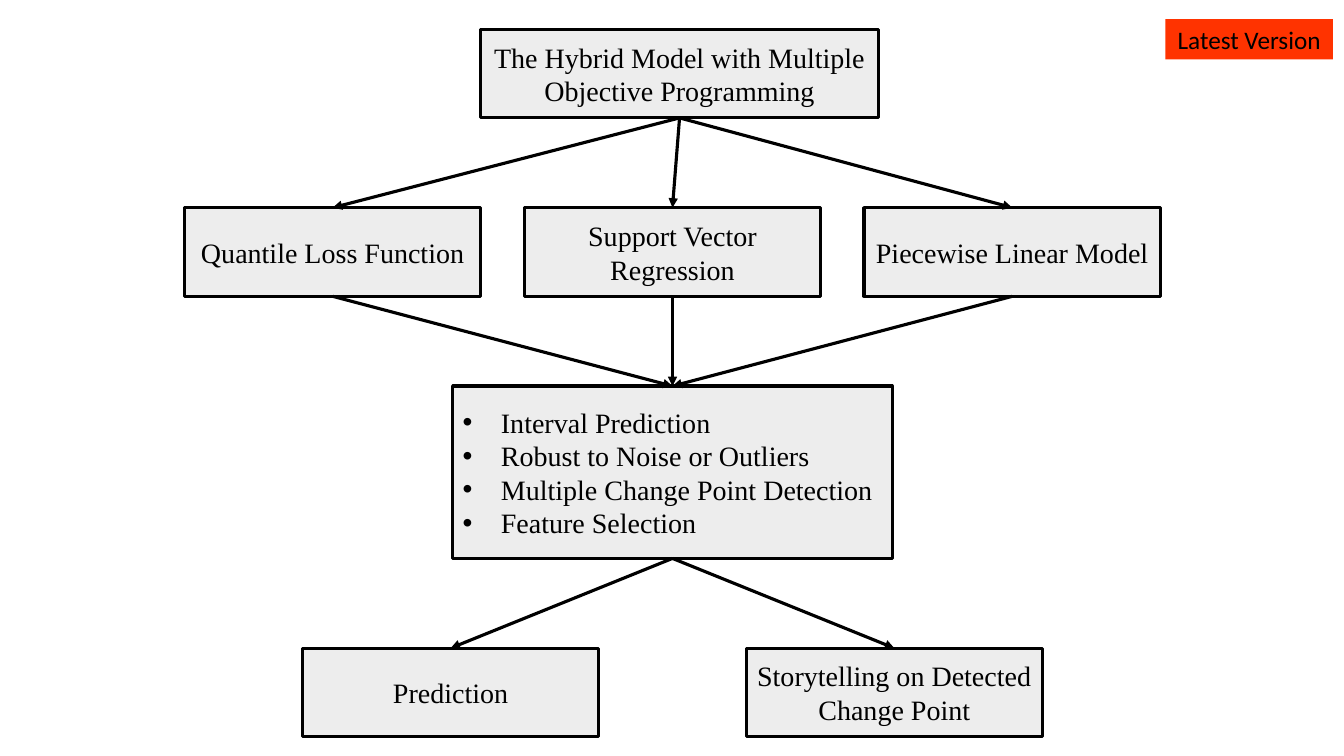
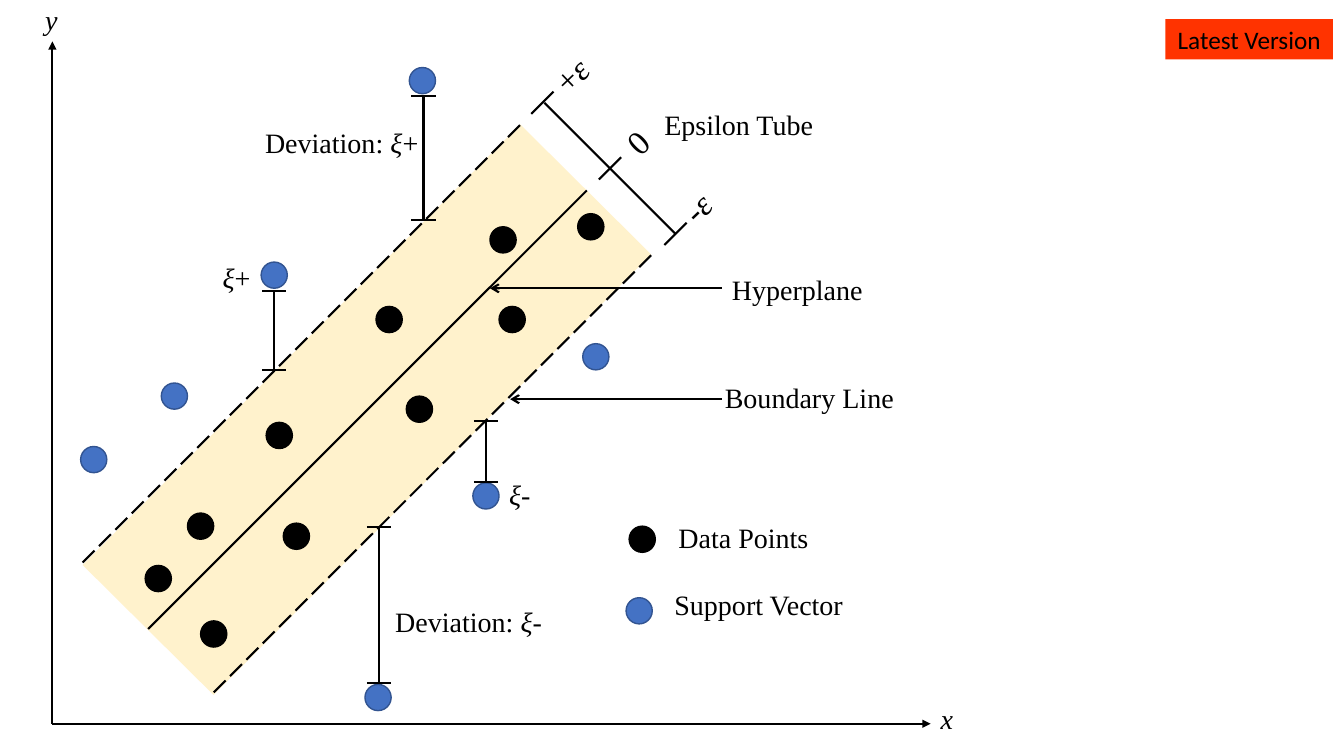
from dataclasses import dataclass
from typing import NamedTuple

from lxml import etree
from pptx import Presentation
from pptx.dml.color import RGBColor
from pptx.enum.dml import MSO_LINE
from pptx.enum.shapes import MSO_CONNECTOR, MSO_SHAPE
from pptx.enum.text import MSO_ANCHOR, MSO_AUTO_SIZE, PP_ALIGN
from pptx.oxml.ns import qn
from pptx.util import Inches, Pt

BLACK = RGBColor(0x00, 0x00, 0x00)
BOX_GRAY = RGBColor(0xED, 0xED, 0xED)
BADGE_RED = RGBColor(0xFF, 0x33, 0x00)
TUBE_CREAM = RGBColor(0xFF, 0xF2, 0xCC)
VECTOR_BLUE = RGBColor(0x44, 0x72, 0xC4)
VECTOR_EDGE = RGBColor(0x32, 0x54, 0x91)
SERIF, SANS = "Times New Roman", "Calibri"

RECT, OVAL = MSO_SHAPE.RECTANGLE, MSO_SHAPE.OVAL
STRAIGHT = MSO_CONNECTOR.STRAIGHT
LONG_DASH = MSO_LINE.LONG_DASH
LEFT, CENTER = PP_ALIGN.LEFT, PP_ALIGN.CENTER
MIDDLE = MSO_ANCHOR.MIDDLE
GROW = MSO_AUTO_SIZE.SHAPE_TO_FIT_TEXT
TOP_SIDE, BOTTOM_SIDE = 0, 2

FLOW_WEIGHT, PLOT_WEIGHT = 2.25, 1.5
BOX_WIDTH, BOX_HEIGHT = 2.94, 0.88
DOT_SIZE = 0.26
CAP_HALF = 0.12
TICK_HALF = 0.11
BULLET_INDENT = 0.38
MARK_ANGLE = 316.1


class Run(NamedTuple):
    text: str
    italic: bool = False


class Area(NamedTuple):
    left: float
    top: float
    width: float
    height: float

    def lengths(self):
        return [Inches(value) for value in self]


class Point(NamedTuple):
    x: float
    y: float


class Deviation(NamedTuple):
    x: float
    top: float
    bottom: float


@dataclass
class Label:
    area: Area
    runs: list[Run]
    size: int = 20
    rotation: float = 0


XI, EPSILON = Run("ξ", True), Run("ε", True)
PLUS, MINUS = Run("+"), Run("-")

LABELS = [
    Label(Area(5.39, 0.45, 0.63, 0.5), [PLUS, EPSILON], 24, MARK_ANGLE),
    Label(Area(6.67, 1.76, 0.58, 0.5), [MINUS, EPSILON], 24, MARK_ANGLE),
    Label(Area(6.1, 1.07, 0.63, 0.5), [Run("0")], 24, MARK_ANGLE),
    Label(Area(6.49, 1.02, 1.75, 0.44), [Run("Epsilon Tube")]),
    Label(Area(6.63, 5.11, 1.75, 0.44), [Run("Data Points")]),
    Label(Area(6.59, 5.78, 1.93, 0.44), [Run("Support Vector")]),
    Label(Area(7.16, 2.65, 1.75, 0.44), [Run("Hyperplane")]),
    Label(Area(7.09, 3.73, 2.03, 0.44), [Run("Boundary Line")]),
    Label(Area(2.53, 1.2, 1.75, 0.44), [Run("Deviation: "), XI, PLUS]),
    Label(Area(3.82, 5.95, 1.75, 0.44), [Run("Deviation: "), XI, MINUS]),
    Label(Area(4.95, 4.69, 0.51, 0.44), [XI, MINUS]),
    Label(Area(2.11, 2.54, 0.59, 0.44), [XI, PLUS]),
    Label(Area(0.35, -0.02, 0.39, 0.44), [Run("y", True)]),
    Label(Area(9.23, 6.91, 0.39, 0.44), [Run("x", True)]),
]

# Top left corners; the last point of each group is its legend key.
DATA_POINTS = [
    Point(1.44, 5.61), Point(4.95, 3.04), Point(5.73, 2.12), Point(4.86, 2.25),
    Point(2.64, 4.19), Point(2.81, 5.19), Point(3.73, 3.04), Point(4.03, 3.93),
    Point(1.86, 5.09), Point(1.99, 6.16), Point(6.24, 5.22),
]
SUPPORT_VECTORS = [
    Point(0.8, 4.43), Point(1.6, 3.8), Point(3.62, 6.79), Point(4.69, 4.79),
    Point(5.78, 3.41), Point(4.06, 0.67), Point(2.59, 2.6), Point(6.21, 5.93),
]
DEVIATIONS = [
    Deviation(3.76, 5.23, 6.78), Deviation(4.82, 4.18, 4.78),
    Deviation(4.2, 0.95, 2.18), Deviation(2.72, 2.89, 3.67),
]
TUBE_MARKS = [Point(5.38, 1.02), Point(6.05, 1.67), Point(6.7, 2.32)]


def write_runs(paragraph, runs: list[Run], size: int, font: str, align) -> None:
    paragraph.alignment = align
    for part in runs:
        run = paragraph.add_run()
        run.text = part.text
        run.font.size = Pt(size)
        run.font.name = font
        run.font.italic = part.italic
        run.font.color.rgb = BLACK


def add_filled(slide, preset, area: Area, fill: RGBColor,
               edge: RGBColor | None = None, weight: float = 1):
    shape = slide.shapes.add_shape(preset, *area.lengths())
    shape.shadow.inherit = False
    shape.fill.solid()
    shape.fill.fore_color.rgb = fill
    if edge is None:
        shape.line.fill.background()
    else:
        shape.line.color.rgb = edge
        shape.line.width = Pt(weight)
    return shape


def add_line(slide, start: Point, end: Point, weight: float = PLOT_WEIGHT,
             head: str = "", dash=None):
    """Draw a black line; head names the arrowhead at its end."""
    ends = [Inches(value) for value in (*start, *end)]
    line = slide.shapes.add_connector(STRAIGHT, *ends)
    line.line.color.rgb = BLACK
    line.line.width = Pt(weight)
    if dash is not None:
        line.line.dash_style = dash
    properties = line._element.spPr
    if head:
        outline = properties.find(qn("a:ln"))
        etree.SubElement(outline, qn("a:tailEnd"), type=head)
    etree.SubElement(properties, qn("a:effectLst"))
    return line


def add_badge(slide) -> None:
    badge = add_filled(slide, RECT, Area(11.56, 0.19, 1.66, 0.4), BADGE_RED)
    badge.text_frame.word_wrap = True
    badge.text_frame.auto_size = GROW
    write_runs(badge.text_frame.paragraphs[0], [Run("Latest Version")],
               18, SANS, CENTER)


def add_bullet(paragraph) -> None:
    properties = paragraph._p.get_or_add_pPr()
    properties.set("marL", str(Inches(BULLET_INDENT)))
    properties.set("indent", str(-Inches(BULLET_INDENT)))
    etree.SubElement(properties, qn("a:buFont"), typeface="Arial")
    etree.SubElement(properties, qn("a:buChar"), char="•")


def add_box(slide, area: Area, lines: list[str], bulleted: bool = False):
    box = add_filled(slide, RECT, area, BOX_GRAY, BLACK, FLOW_WEIGHT)
    frame = box.text_frame
    frame.word_wrap = True
    frame.vertical_anchor = MIDDLE
    for index, line in enumerate(lines):
        paragraph = frame.add_paragraph() if index else frame.paragraphs[0]
        write_runs(paragraph, [Run(line)], 20, SERIF,
                   LEFT if bulleted else CENTER)
        if bulleted:
            add_bullet(paragraph)
    return box


def link(slide, upper, lower) -> None:
    """Join the bottom of one box to the top of another with an arrow."""
    arrow = add_line(slide, Point(0, 0), Point(1, 1), FLOW_WEIGHT, "triangle")
    arrow.begin_connect(upper, BOTTOM_SIDE)
    arrow.end_connect(lower, TOP_SIDE)


def add_label(slide, label: Label) -> None:
    box = slide.shapes.add_textbox(*label.area.lengths())
    box.rotation = label.rotation
    box.text_frame.word_wrap = True
    box.text_frame.auto_size = GROW
    write_runs(box.text_frame.paragraphs[0], label.runs, label.size, SERIF, LEFT)


def add_dots(slide, corners: list[Point], fill: RGBColor, edge: RGBColor) -> None:
    for corner in corners:
        area = Area(*corner, DOT_SIZE, DOT_SIZE)
        add_filled(slide, OVAL, area, fill, edge)


def add_deviation(slide, deviation: Deviation) -> None:
    """Draw a vertical measure with a cap at each end."""
    x, top, bottom = deviation
    add_line(slide, Point(x, top), Point(x, bottom))
    for y in (top, bottom):
        add_line(slide, Point(x - CAP_HALF, y), Point(x + CAP_HALF, y))


def build_model_flow(slide) -> None:
    model = add_box(slide, Area(4.77, 0.29, 3.94, BOX_HEIGHT),
                    ["The Hybrid Model with Multiple Objective Programming"])
    methods = [
        add_box(slide, Area(1.83 + 3.37 * column, 2.06, BOX_WIDTH, BOX_HEIGHT), [name])
        for column, name in enumerate(["Quantile Loss Function",
                                       "Support Vector Regression",
                                       "Piecewise Linear Model"])
    ]
    features = add_box(slide, Area(4.49, 3.83, 4.36, 1.71),
                       ["Interval Prediction", "Robust to Noise or Outliers",
                        "Multiple Change Point Detection", "Feature Selection"],
                       bulleted=True)
    outcomes = [
        add_box(slide, Area(3 + 4.4 * column, 6.43, BOX_WIDTH, BOX_HEIGHT), [name])
        for column, name in enumerate(["Prediction",
                                       "Storytelling on Detected Change Point"])
    ]
    for method in methods:
        link(slide, model, method)
        link(slide, method, features)
    for outcome in outcomes:
        link(slide, features, outcome)


def build_epsilon_tube(slide) -> None:
    tube = add_filled(slide, RECT, Area(0.56, 3.15, 6.16, 1.83), TUBE_CREAM)
    tube.rotation = 314.8

    origin = Point(0.52, 7.18)
    for axis_end in (Point(0.52, 0.41), Point(9.23, 7.18)):
        add_line(slide, origin, axis_end, head="triangle")

    add_line(slide, Point(1.47, 6.24), Point(5.82, 1.89))
    add_line(slide, Point(0.82, 5.58), Point(5.17, 1.23), dash=LONG_DASH)
    add_line(slide, Point(2.12, 6.87), Point(6.46, 2.53), dash=LONG_DASH)

    add_line(slide, Point(5.4, 1.02), Point(6.7, 2.32))
    for x, y in TUBE_MARKS:
        add_line(slide, Point(x - TICK_HALF, y + TICK_HALF),
                 Point(x + TICK_HALF, y - TICK_HALF))

    add_dots(slide, DATA_POINTS, BLACK, BLACK)
    add_dots(slide, SUPPORT_VECTORS, VECTOR_BLUE, VECTOR_EDGE)
    for deviation in DEVIATIONS:
        add_deviation(slide, deviation)
    for target in (Point(4.86, 2.86), Point(5.06, 3.96)):
        add_line(slide, Point(7.16, target.y), target, head="arrow")
    for label in LABELS:
        add_label(slide, label)


def main() -> None:
    deck = Presentation()
    deck.slide_width, deck.slide_height = Inches(13.33), Inches(7.5)
    blank = deck.slide_layouts[6]
    for build in (build_model_flow, build_epsilon_tube):
        slide = deck.slides.add_slide(blank)
        build(slide)
        add_badge(slide)
    deck.save("out.pptx")


if __name__ == "__main__":
    main()
